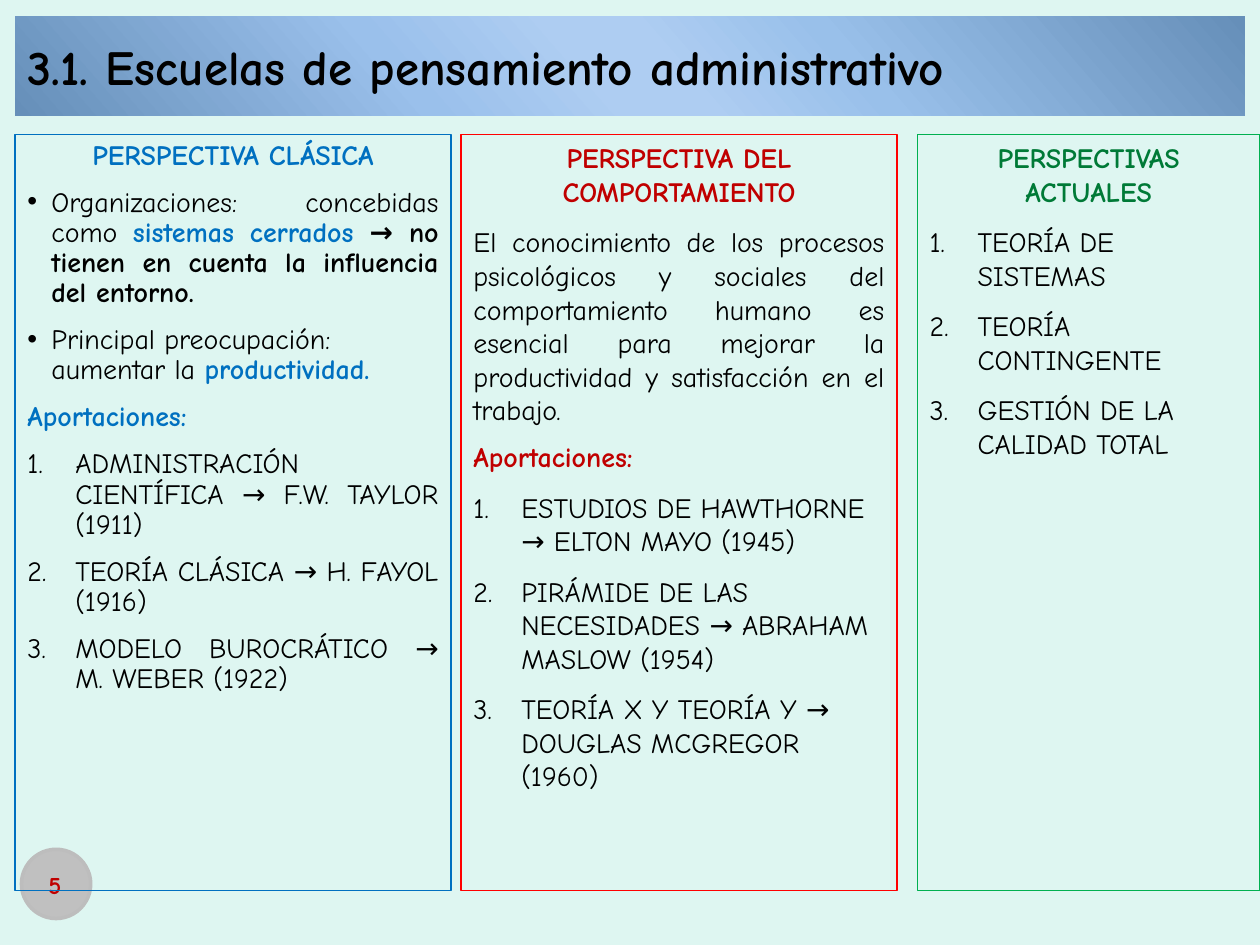
"""Build a slide comparing three perspectives of administrative thought."""
from lxml import etree
from pptx import Presentation, util as u
from pptx.dml.color import RGBColor
from pptx.enum import shapes, text
from pptx.oxml.ns import qn

FONT = "Comic Neue"
COLORS = {
    "background": "DEF6F1", "black": "000000", "badge": "C0C0C0", "badge_line": "BDBDBD",
    "blue": "0070C0", "red": "C00000", "red_line": "FF0000",
    "green": "007A37", "green_line": "00B050",
}
BANNER_STOPS = [(0, "668FB9"), (33, "99C0EA"), (47, "AECDF2"),
                (53, "AECDF2"), (68, "9AC0EB"), (100, "668FB9")]
BANNER_ANGLE = 139
TITLE = "3.1. Escuelas de pensamiento administrativo"
PAGE_NUMBER = "5"
LEFT, CENTER, JUSTIFY = text.PP_ALIGN.LEFT, text.PP_ALIGN.CENTER, text.PP_ALIGN.JUSTIFY
COLUMN_TOP, COLUMN_HEIGHT = 1.07, 6
INDENTS = {"plain": 0, "bullet": 0.19, "number": 0.38}

# Each paragraph: kind, alignment, line spacing, runs of (words, colour, bold)
COLUMNS = [
    {"left": 0.12, "width": 3.46, "line": "blue", "paragraphs": [
        ("plain", CENTER, 0.9, [("PERSPECTIVA CLÁSICA", "blue", True)]),
        ("bullet", JUSTIFY, 0.9, [
            ("Organizaciones: concebidas como ", "black", False),
            ("sistemas cerrados ", "blue", True),
            ("→ no tienen en cuenta la influencia del entorno.", "black", True)]),
        ("bullet", LEFT, 0.9, [
            ("Principal preocupación: aumentar la ", "black", False),
            ("productividad.", "blue", True)]),
        ("plain", JUSTIFY, 0.9, [("Aportaciones:", "blue", True)]),
        ("number", JUSTIFY, 0.9, [("ADMINISTRACIÓN CIENTÍFICA → F.W. TAYLOR (1911)", "black", False)]),
        ("number", JUSTIFY, 0.9, [("TEORÍA CLÁSICA → H. FAYOL (1916)", "black", False)]),
        ("number", JUSTIFY, 0.9, [("MODELO BUROCRÁTICO → M. WEBER (1922)", "black", False)]),
    ]},
    {"left": 3.66, "width": 3.46, "line": "red_line", "paragraphs": [
        ("plain", CENTER, 1.0, [("PERSPECTIVA DEL COMPORTAMIENTO", "red", True)]),
        ("plain", JUSTIFY, 1.0, [
            ("El conocimiento de los procesos psicológicos y sociales del comportamiento humano "
             "es esencial para mejorar la productividad y satisfacción en el trabajo.", "black", False)]),
        ("plain", JUSTIFY, 0.9, [("Aportaciones:", "red", True)]),
        ("number", LEFT, 1.0, [("ESTUDIOS DE HAWTHORNE → ELTON MAYO (1945)", "black", False)]),
        ("number", LEFT, 1.0, [("PIRÁMIDE DE LAS NECESIDADES → ABRAHAM MASLOW (1954)", "black", False)]),
        ("number", LEFT, 1.0, [("TEORÍA X Y TEORÍA Y → DOUGLAS MCGREGOR (1960)", "black", False)]),
    ]},
    {"left": 7.28, "width": 2.72, "line": "green_line", "paragraphs": [
        ("plain", CENTER, 1.0, [("PERSPECTIVAS ACTUALES", "green", True)]),
        ("number", LEFT, 1.0, [("TEORÍA DE SISTEMAS", "black", False)]),
        ("number", JUSTIFY, 1.0, [("TEORÍA CONTINGENTE", "black", False)]),
        ("number", LEFT, 1.0, [("GESTIÓN DE LA CALIDAD TOTAL", "black", False)]),
    ]},
]


def rgb(name):
    return RGBColor.from_string(COLORS[name])


def add_box(slide, kind, left, top, width, height, fill=None, line=None, line_width=0.75):
    shape = slide.shapes.add_shape(kind, *map(u.Inches, (left, top, width, height)))
    shape.shadow.inherit = False
    if fill:
        shape.fill.solid()
        shape.fill.fore_color.rgb = rgb(fill)
    else:
        shape.fill.background()
    if line:
        shape.line.color.rgb = rgb(line)
        shape.line.width = u.Pt(line_width)
    else:
        shape.line.fill.background()
    shape.text_frame.word_wrap = True
    return shape


def add_run(paragraph, words, color, bold, size=16):
    run = paragraph.add_run()
    run.text = words
    run.font.name, run.font.size, run.font.bold = FONT, u.Pt(size), bold
    run.font.color.rgb = rgb(color)


def set_bullet(paragraph, kind):
    properties = paragraph._p.get_or_add_pPr()
    indent = u.Inches(INDENTS[kind])
    properties.set("marL", str(indent))
    properties.set("indent", str(-indent))
    if kind == "bullet":
        etree.SubElement(properties, qn("a:buFont"), typeface="Arial")
        etree.SubElement(properties, qn("a:buChar"), char="•")
    elif kind == "number":
        etree.SubElement(properties, qn("a:buFont"), typeface="+mj-lt")
        etree.SubElement(properties, qn("a:buAutoNum"), type="arabicPeriod")


def set_banner_gradient(shape):
    shape.fill.gradient()
    gradient = shape._element.spPr.find(qn("a:gradFill"))
    stops = gradient.find(qn("a:gsLst"))
    for stop in list(stops):
        stops.remove(stop)
    for position, color in BANNER_STOPS:
        stop = etree.SubElement(stops, qn("a:gs"), pos=str(position * 1000))
        etree.SubElement(stop, qn("a:srgbClr"), val=color)
    gradient.find(qn("a:lin")).set("ang", str(BANNER_ANGLE * 60000))


def add_label(shape, words, color, size, alignment):
    shape.text_frame.vertical_anchor = text.MSO_ANCHOR.MIDDLE
    paragraph = shape.text_frame.paragraphs[0]
    paragraph.alignment = alignment
    add_run(paragraph, words, color, True, size)


def add_column(slide, column):
    shape = add_box(slide, shapes.MSO_SHAPE.RECTANGLE, column["left"], COLUMN_TOP,
                    column["width"], COLUMN_HEIGHT, line=column["line"])
    frame = shape.text_frame
    frame.vertical_anchor = text.MSO_ANCHOR.TOP
    for index, (kind, alignment, spacing, runs) in enumerate(column["paragraphs"]):
        paragraph = frame.add_paragraph() if index else frame.paragraphs[0]
        set_bullet(paragraph, kind)
        paragraph.alignment = alignment
        paragraph.line_spacing = spacing
        paragraph.space_before = u.Pt(4.8 if index else 0)
        paragraph.space_after = u.Pt(4.8)
        for run in runs:
            add_run(paragraph, *run)


def main():
    presentation = Presentation()
    presentation.slide_width, presentation.slide_height = u.Inches(10), u.Inches(7.5)
    slide = presentation.slides.add_slide(presentation.slide_layouts[6])
    slide.background.fill.solid()
    slide.background.fill.fore_color.rgb = rgb("background")

    add_box(slide, shapes.MSO_SHAPE.OVAL, 0.17, 6.74, 0.55, 0.55, "badge", "badge_line", 2)
    banner = add_box(slide, shapes.MSO_SHAPE.RECTANGLE, 0.12, 0.13, 9.76, 0.79)
    set_banner_gradient(banner)
    add_label(banner, TITLE, "black", 28, LEFT)
    number = slide.shapes.add_textbox(*map(u.Inches, (0.04, 6.82, 0.79, 0.4)))
    number.text_frame.word_wrap = True
    add_label(number, PAGE_NUMBER, "red", 14, CENTER)
    for column in COLUMNS:
        add_column(slide, column)
    presentation.save("out.pptx")


if __name__ == "__main__":
    main()
